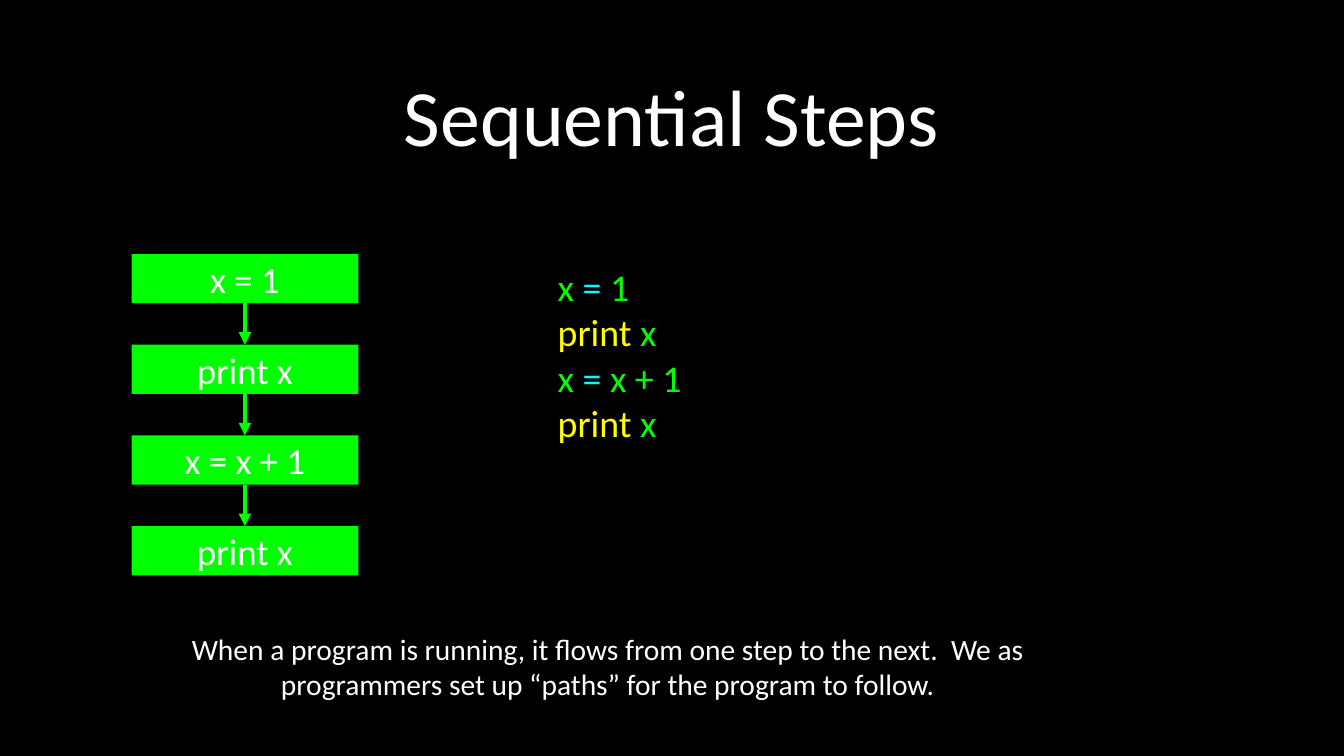
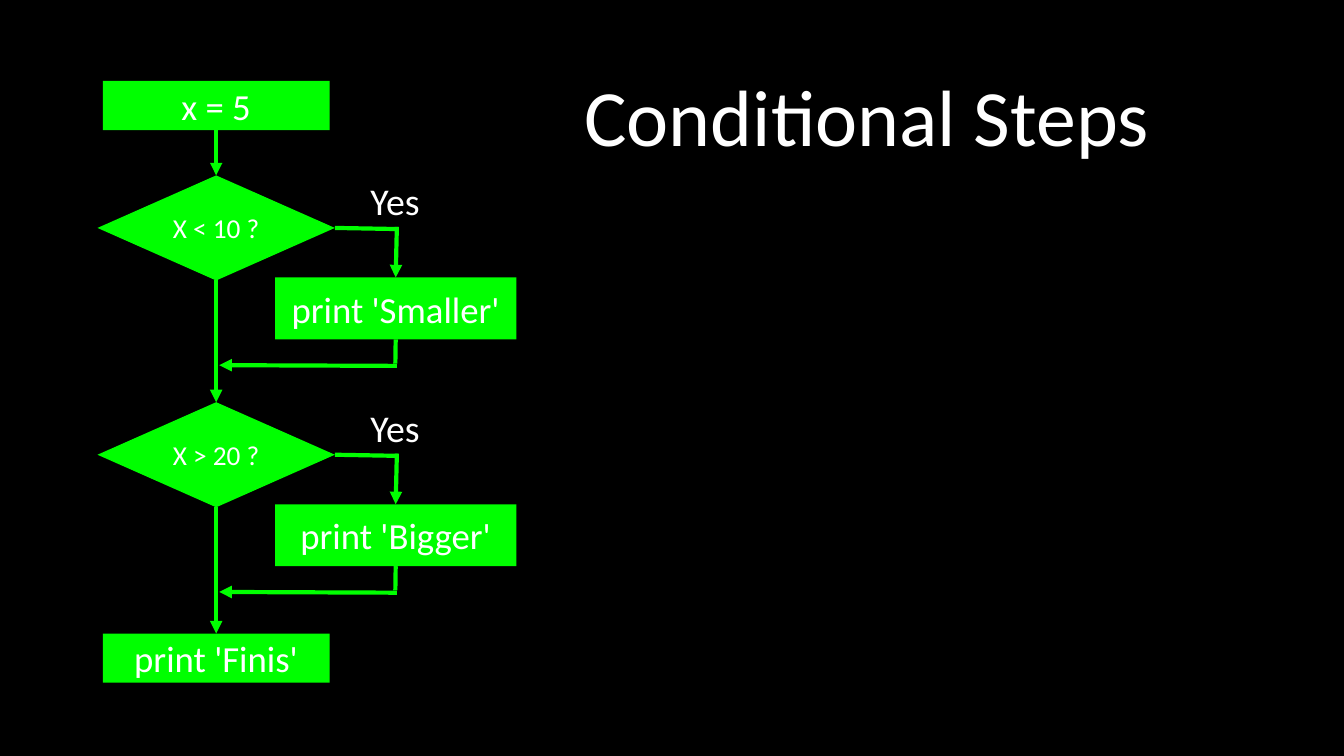
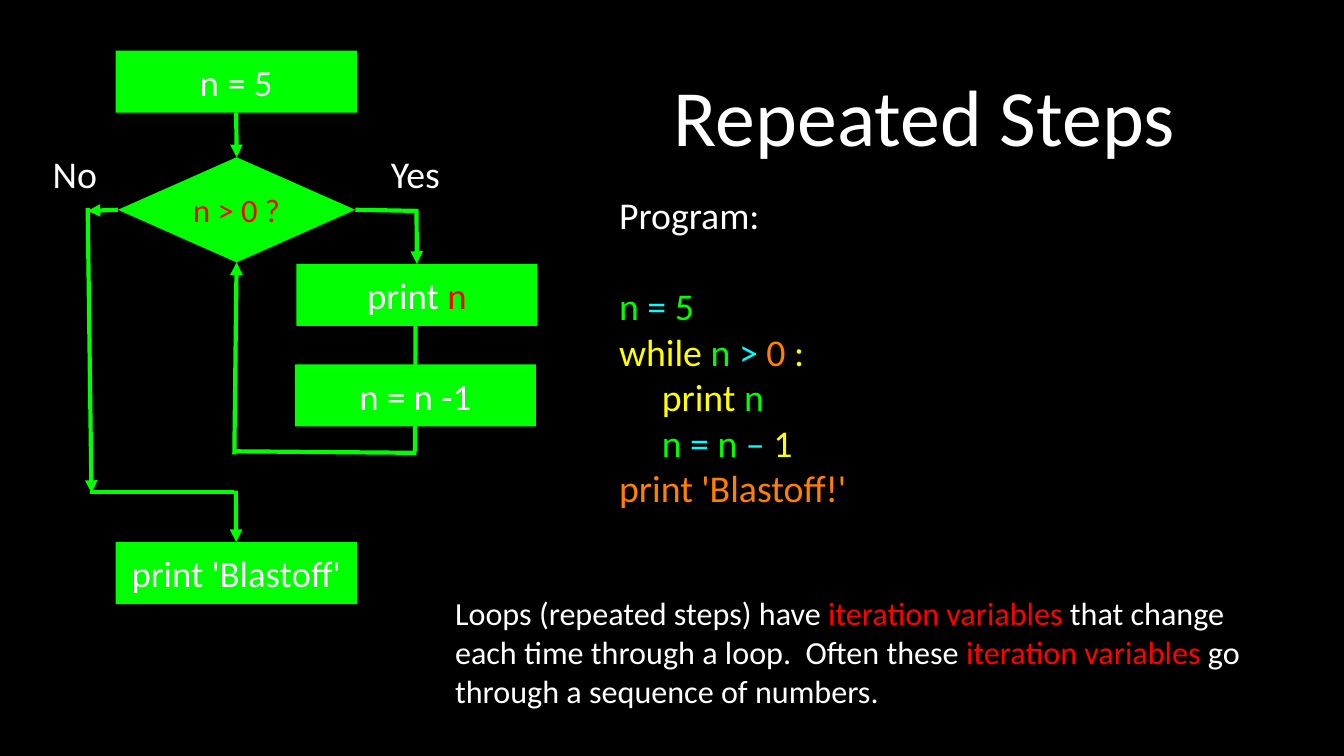
import pptx
import pptx.dml.color
import pptx.enum.shapes
import pptx.enum.text
import pptx.oxml
import pptx.oxml.ns
import pptx.util
from pptx.util import Inches

BLACK, WHITE, GREEN, RED = "000000", "FFFFFF", "00FF00", "FF0000"
YELLOW, CYAN, ORANGE = "FFFF00", "00FFFF", "FF7F00"
FONT = "Calibri"
TOP, LEFT, BOTTOM, RIGHT = range(4)
SMALL_STEP, LARGE_STEP, DIAMOND = (3, 0.65), (3.19, 0.82), (3.14, 1.39)

SHAPES = pptx.enum.shapes.MSO_SHAPE
ALIGN = pptx.enum.text.PP_ALIGN
ANCHOR = pptx.enum.text.MSO_ANCHOR
AUTO_SIZE = pptx.enum.text.MSO_AUTO_SIZE


def rgb(value):
    return pptx.dml.color.RGBColor.from_string(value)


class FlowDeck:
    """Holds the shared style and the slide being built."""

    def __init__(self):
        self.deck = pptx.Presentation()
        self.deck.slide_width = Inches(17.78)
        self.deck.slide_height = Inches(10)
        background = self.deck.slide_master.background.fill
        background.solid()
        background.fore_color.rgb = rgb(BLACK)
        self.page = None

    def set_text(self, frame, lines, size, color=WHITE, align=ALIGN.CENTER,
                 anchor=ANCHOR.MIDDLE, margin=0, wrap=True):
        """Each line is plain text or a list of (text, colour) spans."""
        frame.word_wrap = wrap
        frame.auto_size = AUTO_SIZE.NONE if wrap else AUTO_SIZE.SHAPE_TO_FIT_TEXT
        frame.vertical_anchor = anchor
        frame.margin_left = frame.margin_right = Inches(margin)
        frame.margin_top = frame.margin_bottom = Inches(margin)
        for index, line in enumerate(lines):
            para = frame.add_paragraph() if index else frame.paragraphs[0]
            para.alignment = align
            spans = [(line, color)] if isinstance(line, str) else line
            for text, span_color in spans:
                span = para.add_run()
                span.text = text
                span.font.name = FONT
                span.font.size = pptx.util.Pt(size)
                span.font.color.rgb = rgb(span_color)

    def start(self, title, left, width):
        self.page = self.deck.slides.add_slide(self.deck.slide_layouts[5])
        box = self.page.shapes.title
        box.left, box.top = Inches(left), Inches(0.26)
        box.width, box.height = Inches(width), Inches(2.51)
        self.set_text(box.text_frame, [title], 76, margin=0.04)

    def text(self, lines, left, top, width, height, size, **style):
        box = self.page.shapes.add_textbox(
            Inches(left), Inches(top), Inches(width), Inches(height))
        self.set_text(box.text_frame, lines, size, **style)
        return box

    def label(self, text, left, top, width=0.81):
        self.text([text], left, top, width, 0.6, 36, wrap=False)

    def node(self, line, left, top, extent, kind=SHAPES.RECTANGLE, size=35):
        width, height = extent
        box = self.page.shapes.add_shape(
            kind, Inches(left), Inches(top), Inches(width), Inches(height))
        box.shadow.inherit = False
        box.fill.solid()
        box.fill.fore_color.rgb = rgb(GREEN)
        box.line.fill.background()
        self.set_text(box.text_frame, [line], size)
        return box

    def decision(self, line, left, top, size):
        return self.node(line, left, top, DIAMOND, SHAPES.DIAMOND, size)

    def link(self, start, end, arrow=True):
        """Each end is an (x, y) point or a (shape, side) pair."""
        free = [isinstance(place[0], (int, float)) for place in (start, end)]
        points = [Inches(value) for place, is_free in zip((start, end), free)
                  for value in (place if is_free else (0, 0))]
        line = self.page.shapes.add_connector(
            pptx.enum.shapes.MSO_CONNECTOR.STRAIGHT, *points)
        if not free[0]:
            line.begin_connect(*start)
        if not free[1]:
            line.end_connect(*end)
        line.line.color.rgb = rgb(GREEN)
        line.line.width = pptx.util.Pt(4)
        properties = line._element.spPr
        if arrow:
            head = pptx.oxml.parse_xml(
                f'<a:tailEnd {pptx.oxml.ns.nsdecls("a")} type="triangle"/>')
            properties.find(pptx.oxml.ns.qn("a:ln")).append(head)
        properties.append(pptx.oxml.parse_xml(
            f'<a:effectLst {pptx.oxml.ns.nsdecls("a")}/>'))


def build_sequential(flow):
    flow.start("Sequential Steps", 1.26, 15.24)

    # Flowchart
    steps = ["x = 1", "print x", "x = x + 1", "print x"]
    boxes = [flow.node(step, 1.74, 3.36 + 1.2 * row, SMALL_STEP)
             for row, step in enumerate(steps)]
    for upper, lower in zip(boxes, boxes[1:]):
        flow.link((upper, BOTTOM), (lower, TOP))

    # Explanation and program
    flow.text(["When a program is running, it flows from one step to the next.  "
               "We as programmers set up “paths” for the program to follow."],
              2.09, 8.23, 11.9, 1.17, 28.1)
    print_x = [("print ", YELLOW), ("x", GREEN)]
    program = [
        [("x ", GREEN), ("= ", CYAN), ("1", GREEN)],
        print_x,
        [("x ", GREEN), ("= ", CYAN), ("x + 1", GREEN)],
        print_x,
    ]
    box = flow.text(program, 7.28, 3.44, 3.28, 3.7, 36,
                    align=ALIGN.LEFT, anchor=ANCHOR.TOP, margin=0.05)
    box.text_frame.margin_left = box.text_frame.margin_right = Inches(0.1)


def build_conditional(flow):
    flow.start("Conditional Steps", 6.43, 10.07)
    previous = flow.node("x = 5", 1.36, 1.07, SMALL_STEP)

    # Two tests, each with a branch that rejoins the main path
    tests = [("X < 10 ?", "print 'Smaller'"), ("X > 20 ?", "print 'Bigger'")]
    for row, (question, action) in enumerate(tests):
        drop = 3 * row
        test = flow.decision(question, 1.29, 2.32 + drop, 26)
        branch = flow.node(action, 3.64, 3.67 + drop, LARGE_STEP)
        flow.link((previous, BOTTOM), (test, TOP))
        flow.link((test, RIGHT), (5.27, 3.03 + drop), arrow=False)
        flow.link((5.25, 3 + drop), (branch, TOP))
        flow.link((branch, BOTTOM), (5.23, 4.81 + drop), arrow=False)
        flow.link((5.25, 4.84 + drop), (2.9, 4.83 + drop))
        flow.label("Yes", 4.82, 2.35 + drop)
        previous = test

    finish = flow.node("print 'Finis'", 1.36, 8.38, SMALL_STEP)
    flow.link((previous, BOTTOM), (finish, TOP))


def build_repeated(flow):
    flow.start("Repeated Steps", 7.96, 8.54)

    # Program
    program = [
        "Program:",
        [("n ", GREEN), ("= ", CYAN), ("5", GREEN)],
        [("while ", YELLOW), ("n ", GREEN), ("> ", CYAN), ("0", ORANGE), (" :", YELLOW)],
        [("     print ", YELLOW), ("n", GREEN)],
        [("     n ", GREEN), ("= ", CYAN), ("n ", GREEN), ("–", CYAN), (" 1", YELLOW)],
        [("print 'Blastoff!'", ORANGE)],
    ]
    box = flow.text(program, 8.19, 2.54, 3.42, 4.2, 36, align=ALIGN.LEFT, wrap=False)
    box.text_frame.paragraphs[1].space_before = pptx.util.Pt(44)

    # Flowchart boxes, with the loop body line behind them
    flow.link((5.5, 3.68), (5.49, 5.97), arrow=False)
    first = flow.node("n = 5", 1.53, 0.67, LARGE_STEP)
    test = flow.decision([("n > 0 ?", RED)], 1.56, 2.08, 31)
    body = flow.node([("print ", WHITE), ("n", RED)], 3.92, 3.49, LARGE_STEP)
    flow.node("n = n -1", 3.9, 4.82, LARGE_STEP)
    finish = flow.node("print 'Blastoff'", 1.53, 7.17, LARGE_STEP)
    flow.link((first, BOTTOM), (test, TOP))

    # Loop path
    flow.label("Yes", 5.09, 2)
    flow.link((test, RIGHT), (5.53, 2.79), arrow=False)
    flow.link((5.51, 2.77), (body, TOP))
    flow.link((5.51, 5.99), (3.12, 5.97), arrow=False)
    flow.link((3.1, 6.01), (test, BOTTOM))

    # Exit path
    flow.label("No", 0.65, 2, 0.68)
    flow.link((test, LEFT), (1.16, 2.79))
    flow.link((1.16, 2.75), (1.21, 6.52))
    flow.link((1.19, 6.51), (3.1, 6.51), arrow=False)
    flow.link((3.12, 6.49), (finish, TOP))

    # Explanation
    flow.text([[("Loops (repeated steps) have ", WHITE),
                ("iteration variables ", RED),
                ("that change each time through a loop.  Often these ", WHITE),
                ("iteration variables", RED),
                (" go through a sequence of numbers.", WHITE)]],
              6.02, 7.71, 11.08, 1.82, 30.6, align=ALIGN.LEFT)


def main():
    flow = FlowDeck()
    build_sequential(flow)
    build_conditional(flow)
    build_repeated(flow)
    flow.deck.save("out.pptx")


if __name__ == "__main__":
    main()
